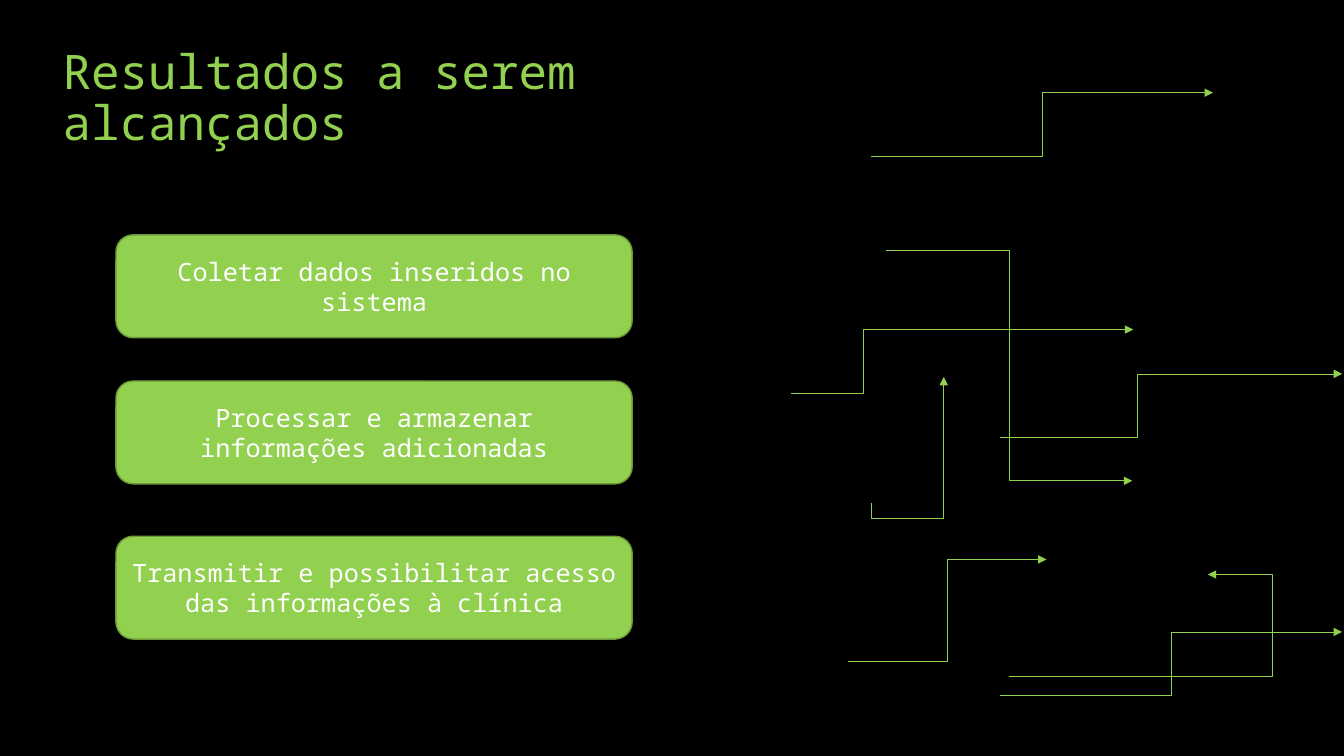
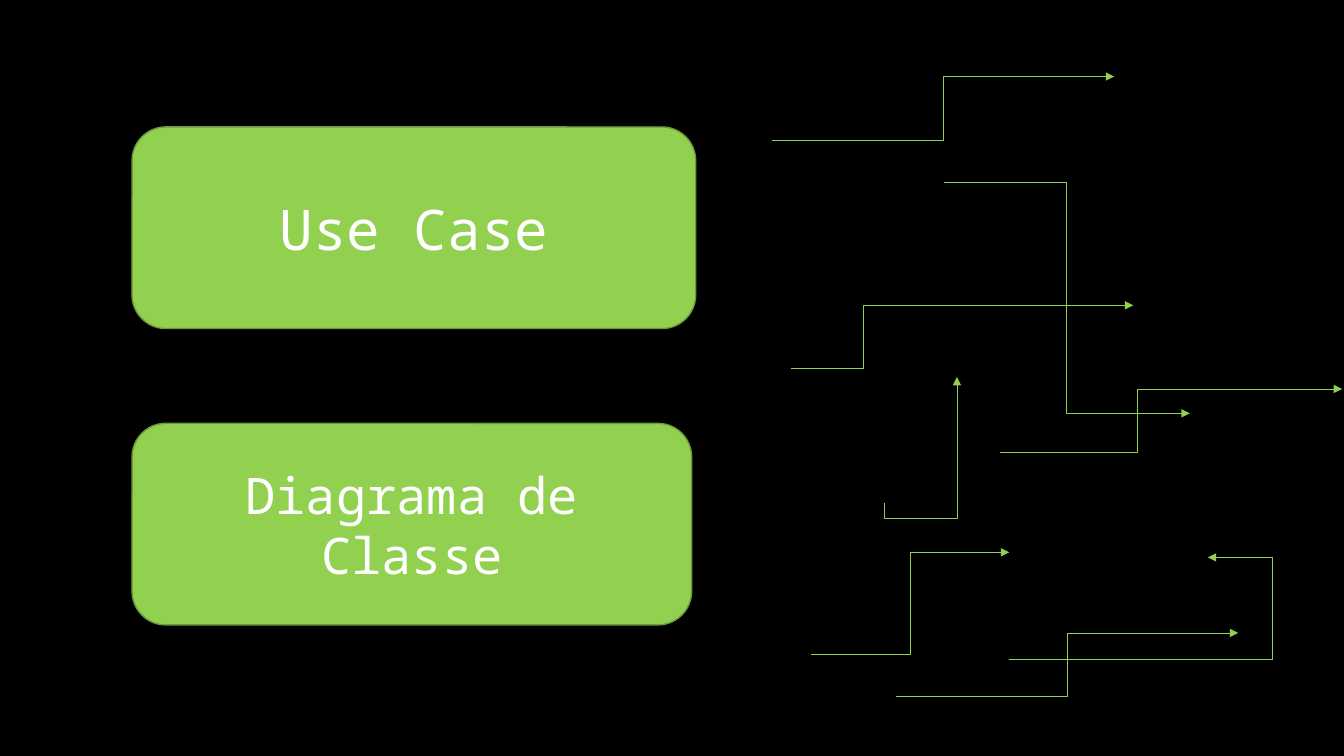
from lxml import etree
from pptx import Presentation
from pptx.dml.color import RGBColor
from pptx.enum import shapes, text
from pptx.oxml.ns import qn
from pptx.util import Inches, Pt

BLACK = RGBColor(0x00, 0x00, 0x00)
WHITE = RGBColor(0xFF, 0xFF, 0xFF)
GREEN = RGBColor(0x92, 0xD0, 0x50)
DARK_GREEN = RGBColor(0x6C, 0x9A, 0x3B)
FONT = "Noto Sans Mono"

# Circuit arrows: width, height (negative rises), bend position, starts vertically
ARROWS = {
    "step": (3.39, -0.63, 0.5, False),
    "drop": (2.44, 2.29, 0.5, False),
    "early": (3.39, -0.63, 0.209, False),
    "rise": (1.97, -1.01, 0.5, False),
    "hook": (0.72, -1.25, -0.124, True),
    "late": (3.39, -0.63, 0.402, False),
    "loop": (1.97, -1.01, 1.324, False),
}


def style_font(p, size, color):
    p.font.name = FONT
    p.font.size = Pt(size)
    p.font.color.rgb = color


def set_title(s, title):
    sp = s.shapes.title
    sp.left, sp.top = Inches(0.52), Inches(0.3)
    sp.width, sp.height = Inches(7.87), Inches(1.25)
    tf = sp.text_frame
    tf.text = title
    tf.word_wrap = True
    tf.auto_size = text.MSO_AUTO_SIZE.NONE
    tf.vertical_anchor = text.MSO_ANCHOR.BOTTOM
    p = tf.paragraphs[0]
    p.alignment = text.PP_ALIGN.LEFT
    p.line_spacing = 0.9
    style_font(p, 34, GREEN)


def add_box(s, label, left, top, width, height, size):
    sp = s.shapes.add_shape(shapes.MSO_SHAPE.ROUNDED_RECTANGLE, Inches(left),
                            Inches(top), Inches(width), Inches(height))
    sp.shadow.inherit = False
    sp.fill.solid()
    sp.fill.fore_color.rgb = GREEN
    sp.line.color.rgb = DARK_GREEN
    sp.line.width = Pt(1)
    tf = sp.text_frame
    tf.text = label
    tf.word_wrap = True
    tf.vertical_anchor = text.MSO_ANCHOR.MIDDLE
    p = tf.paragraphs[0]
    p.alignment = text.PP_ALIGN.CENTER
    style_font(p, size, WHITE)


def add_arrow(s, kind, x, y):
    dx, dy, bend, vertical = ARROWS[kind]
    cx, cy = x + dx / 2, y + dy / 2
    if vertical:  # drawn lying down, then turned by 90 degrees
        dx, dy = dy, -dx
    ends = (cx - dx / 2, cy - dy / 2, cx + dx / 2, cy + dy / 2)
    line = s.shapes.add_connector(shapes.MSO_CONNECTOR.ELBOW,
                                  *(Inches(v) for v in ends))
    line.line.color.rgb = GREEN
    line.line.width = Pt(0.5)

    # Turn, bend, arrowhead and no shadow
    props = line._element.spPr
    if vertical:
        props.find(qn("a:xfrm")).set("rot", "5400000")
    geometry = props.find(qn("a:prstGeom"))
    guides = geometry.find(qn("a:avLst"))
    if guides is None:
        guides = etree.SubElement(geometry, qn("a:avLst"))
    etree.SubElement(guides, qn("a:gd"), name="adj1",
                     fmla=f"val {round(bend * 100000)}")
    etree.SubElement(props.find(qn("a:ln")), qn("a:tailEnd"), type="triangle")
    etree.SubElement(props, qn("a:effectLst"))


def add_circuit(s, starts):
    for kind, x, y in starts:
        add_arrow(s, kind, x, y)


def build_results(prs):
    s = prs.slides.add_slide(prs.slide_layouts.get_by_name("Title Only"))
    set_title(s, "Resultados a serem alcançados")
    add_circuit(s, [
        ("step", 8.64, 1.55), ("drop", 8.79, 2.48), ("early", 7.85, 3.9),
        ("rise", 8.41, 6.56), ("step", 9.92, 6.9), ("hook", 8.64, 4.99),
        ("late", 9.92, 4.34), ("loop", 10.01, 6.71),
    ])
    for label, top in [
        ("Coletar dados inseridos no sistema", 2.33),
        ("Processar e armazenar informações adicionadas", 3.78),
        ("Transmitir e possibilitar acesso das informações à clínica", 5.32),
    ]:
        add_box(s, label, 1.15, top, 5.12, 1.02, 18)


def build_diagrams(prs):
    s = prs.slides.add_slide(prs.slide_layouts.get_by_name("Blank"))
    add_circuit(s, [
        ("step", 7.66, 1.39), ("drop", 9.36, 1.81), ("early", 7.85, 3.66),
        ("rise", 8.04, 6.49), ("step", 8.89, 6.91), ("hook", 8.77, 4.99),
        ("late", 9.92, 4.49), ("loop", 10.01, 6.54),
    ])
    add_box(s, "Use Case", 1.31, 1.26, 5.59, 2, 40)
    add_box(s, "Diagrama de Classe", 1.31, 4.2, 5.55, 2, 36)


def main():
    prs = Presentation()
    prs.slide_width, prs.slide_height = Inches(13.33), Inches(7.5)
    # Shared black background
    fill = prs.slide_master.background.fill
    fill.solid()
    fill.fore_color.rgb = BLACK
    build_results(prs)
    build_diagrams(prs)
    prs.save("out.pptx")


main()
